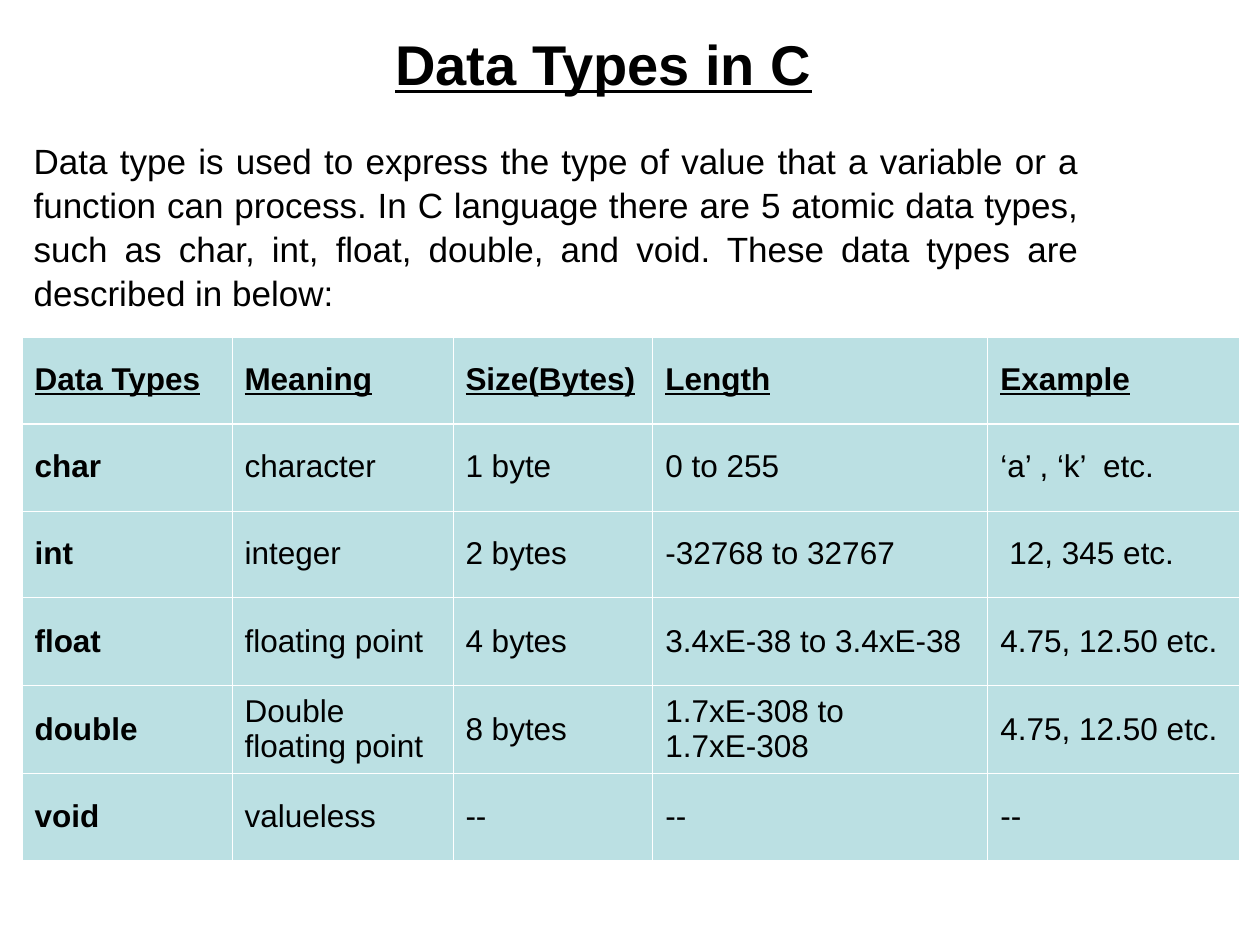
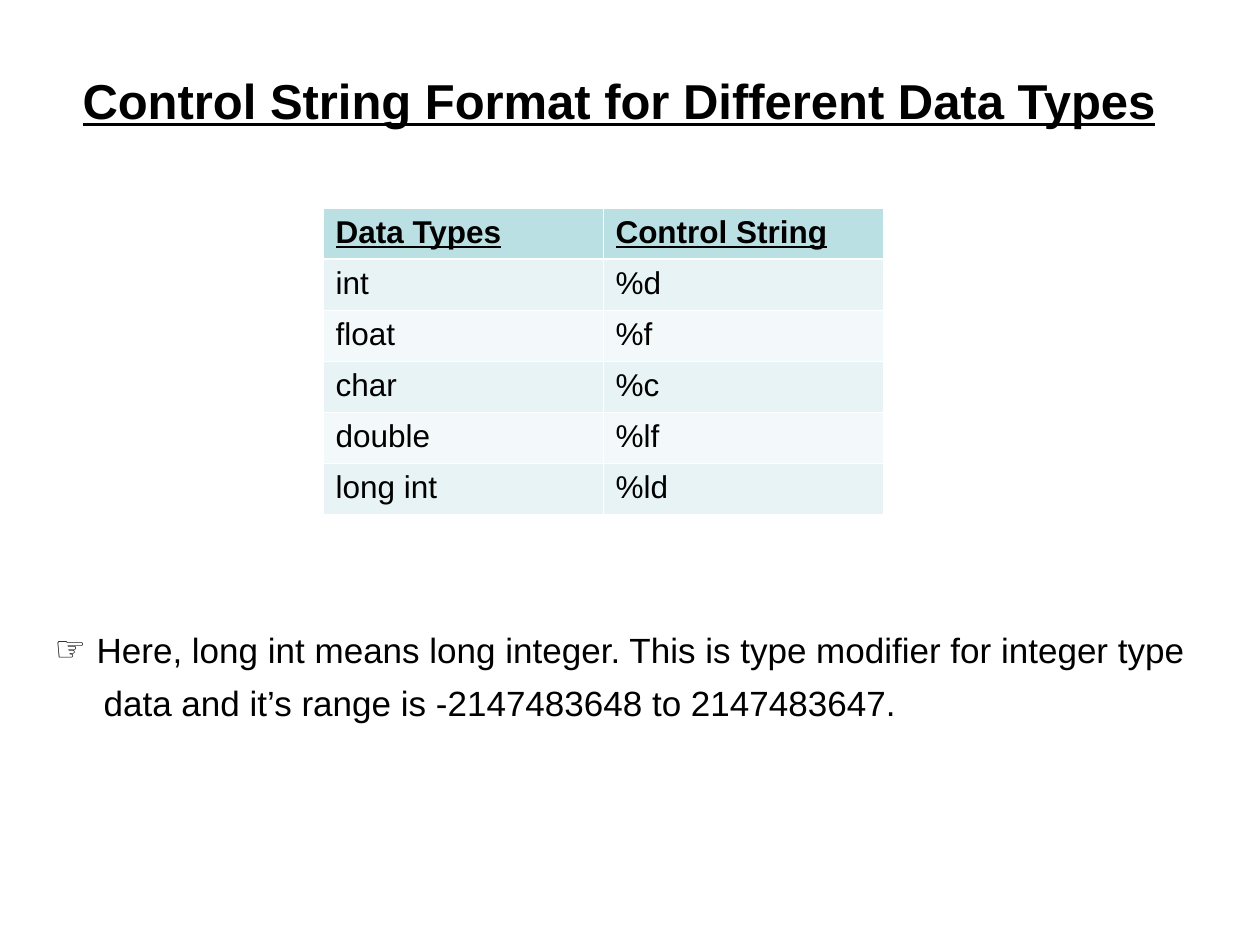
import pptx
import pptx.util
import pptx.dml.color
import pptx.enum.text
import pptx.oxml
import pptx.oxml.ns

PX = 7257  # EMU per px, 126 px to the inch
FONT = "Arial"
COLORS = {"ink": "000000", "line": "FFFFFF", "teal": "BBE0E3",
          "band_dark": "E7F3F4", "band_light": "F3F9FA"}
ALIGN = pptx.enum.text.PP_ALIGN
MIDDLE = pptx.enum.text.MSO_ANCHOR.MIDDLE
TOP = pptx.enum.text.MSO_ANCHOR.TOP
NS = pptx.oxml.ns.nsdecls("a")


def write(frame, text, size=20, bold=False, underline=False, align=ALIGN.LEFT,
          anchor=MIDDLE, spacing=1.0, before=0, bullet=None, indents=(0,)):
    """Fill a text frame, one paragraph per line; indents are in px."""
    frame.word_wrap = True
    frame.vertical_anchor = anchor
    for i, line in enumerate(text.split("\n")):
        paragraph = frame.paragraphs[0] if i == 0 else frame.add_paragraph()
        indent = indents[min(i, len(indents) - 1)] * PX
        hanging = bullet and i == 0
        props = paragraph._p.get_or_add_pPr()
        props.set("marL", str(indent))
        props.set("indent", str(-indent if hanging else 0))
        if hanging:
            props.append(pptx.oxml.parse_xml(f'<a:buFont {NS} typeface="{FONT}"/>'))
            props.append(pptx.oxml.parse_xml(f'<a:buChar {NS} char="{bullet}"/>'))
        else:
            props.append(pptx.oxml.parse_xml(f"<a:buNone {NS}/>"))
        paragraph.alignment = align
        paragraph.line_spacing = spacing
        paragraph.space_before = pptx.util.Pt(before if i else 0)
        run = paragraph.add_run()
        run.text = line
        run.font.name = FONT
        run.font.size = pptx.util.Pt(size)
        run.font.bold = bold
        run.font.underline = underline
        run.font.color.rgb = pptx.dml.color.RGBColor.from_string(COLORS["ink"])


def add_grid(slide, rows, left, top, widths, heights, bands, bold_first=False):
    """Add a table with white rules; bands are the body row colours in turn."""
    grid = slide.shapes.add_table(len(rows), len(widths), left * PX, top * PX,
                                  sum(widths) * PX, sum(heights) * PX).table
    for column, width in zip(grid.columns, widths):
        column.width = width * PX
    for r, (row, height) in enumerate(zip(rows, heights)):
        grid.rows[r].height = height * PX
        for c, text in enumerate(row):
            cell = grid.cell(r, c)
            cell.vertical_anchor = MIDDLE
            write(cell.text_frame, text.lstrip(), size=18, spacing=0.97,
                  bold=r == 0 or (bold_first and c == 0), underline=r == 0,
                  indents=(9 if text.startswith(" ") else 0,))
            # The rule under the header is heavier
            for side in "LRTB":
                heavy = (r, side) in ((0, "B"), (1, "T"))
                width = pptx.util.Pt(1.5 if heavy else 0.5)
                cell._tc.get_or_add_tcPr().append(pptx.oxml.parse_xml(
                    f'<a:ln{side} {NS} w="{width}"><a:solidFill>'
                    f'<a:srgbClr val="{COLORS["line"]}"/></a:solidFill></a:ln{side}>'))
            color = COLORS["teal" if r == 0 else bands[(r - 1) % len(bands)]]
            cell.fill.solid()
            cell.fill.fore_color.rgb = pptx.dml.color.RGBColor.from_string(color)


prs = pptx.Presentation()
prs.slide_width = 1260 * PX
prs.slide_height = 945 * PX

# Titles and running text of both slides; boxes are left, top, width, height
pages = [
    dict(title="Data Types in C", title_box=(252, 21, 703, 84), title_size=32,
         body="Data type is used to express the type of value that a variable or a "
              "function can process. In C language there are 5 atomic data types, "
              "such as char, int, float, double, and void. These data types are "
              "described in below:",
         body_box=(21, 136, 1071, 179), body_format=dict(align=ALIGN.JUSTIFY)),
    dict(title="Control String Format for Different Data Types",
         title_box=(31, 53, 1176, 94), title_size=28,
         body="Here, long int means long integer. This is type modifier for integer type\n"
              "data and it’s range is -2147483648 to 2147483647.",
         body_box=(42, 620, 1166, 126),
         body_format=dict(anchor=TOP, before=5, bullet="☞", indents=(42, 49))),
]
for page in pages:
    slide = prs.slides.add_slide(prs.slide_layouts[1])
    title, body = slide.placeholders
    for holder, box in ((title, page["title_box"]), (body, page["body_box"])):
        holder.left, holder.top, holder.width, holder.height = [n * PX for n in box]
        holder.text_frame.auto_size = pptx.enum.text.MSO_AUTO_SIZE.NONE
    write(title.text_frame, page["title"], size=page["title_size"], bold=True,
          underline=True, align=ALIGN.CENTER)
    write(body.text_frame, page["body"], spacing=1.05, **page["body_format"])

types_slide, formats_slide = prs.slides

# Slide 1: the atomic data types
data_types = [
    ("Data Types", "Meaning", "Size(Bytes)", "Length", "Example"),
    ("char", "character", "1 byte", "0 to 255", "‘a’ , ‘k’  etc."),
    ("int", "integer", "2 bytes", "-32768 to 32767", " 12, 345 etc."),
    ("float", "floating point", "4 bytes", "3.4xE-38 to 3.4xE-38", "4.75, 12.50 etc."),
    ("double", "Double floating point", "8 bytes", "1.7xE-308 to\n1.7xE-308",
     "4.75, 12.50 etc."),
    ("void", "valueless", "--", "--", "--"),
]
add_grid(types_slide, data_types, 22, 337, (210, 221, 200, 335, 252),
         (87, 87, 87, 88, 88, 87), ("teal",), bold_first=True)

# Slide 2: the control strings
control_strings = [("Data Types", "Control String"), ("int", "%d"), ("float", "%f"),
                   ("char", "%c"), ("double", "%lf"), ("long int", "%ld")]
add_grid(formats_slide, control_strings, 323, 208, (280, 280), (51,) * 6,
         ("band_dark", "band_light"))

prs.save("out.pptx")
